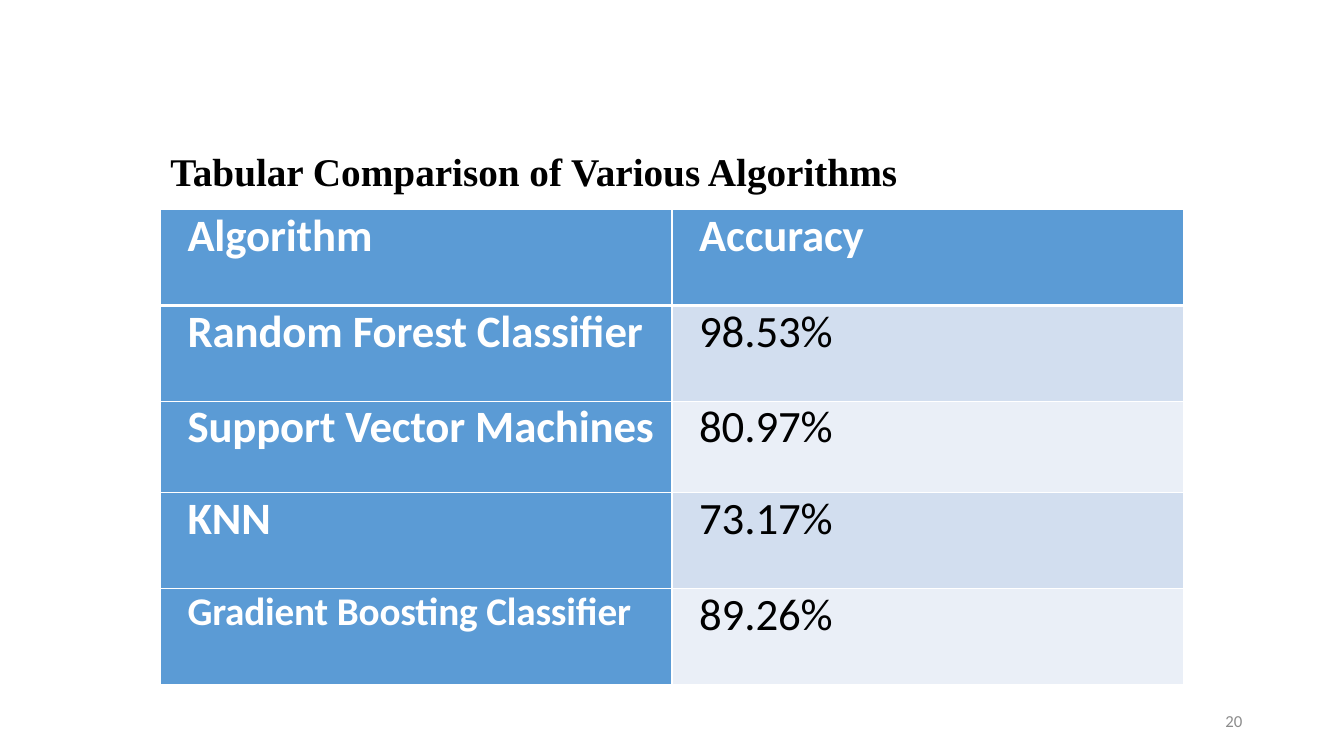
from dataclasses import dataclass

from lxml import etree
from pptx import Presentation, table as tb, util as u
from pptx.dml.color import RGBColor
from pptx.enum import text as tx
from pptx.oxml import ns
from pptx.text import text as body

COLORS = {
    "blue": "5B9BD5",
    "dark_band": "D2DEEF",
    "light_band": "EAEFF7",
    "white": "FFFFFF",
    "black": "000000",
    "gray": "8C8C8C",
}


@dataclass(frozen=True)
class Result:
    algorithm: str
    accuracy: str
    height: float = 0.95
    name_size: int = 32


RESULTS = [
    Result("Algorithm", "Accuracy"),
    Result("Random Forest Classifier", "98.53%"),
    Result("Support Vector Machines", "80.97%", height=0.91),
    Result("KNN", "73.17%"),
    Result("Gradient Boosting Classifier", "89.26%", name_size=28),
]


def write_text(frame: body.TextFrame, text: str, *, size: float, color: str,
               font: str = "Calibri", bold: bool = False,
               align: tx.PP_ALIGN = tx.PP_ALIGN.LEFT,
               anchor: tx.MSO_ANCHOR = tx.MSO_ANCHOR.TOP,
               line_spacing: float = 1.0, space_after: float = 0,
               indent: float = 0, tracking: int = 0) -> None:
    """Write one formatted paragraph; tracking is in hundredths of a point."""
    frame.word_wrap = True
    frame.vertical_anchor = anchor
    para = frame.paragraphs[0]
    para.alignment = align
    para.line_spacing = line_spacing
    para.space_before = u.Pt(0)
    para.space_after = u.Pt(space_after)
    properties = para._p.get_or_add_pPr()
    properties.set("marL", "0")
    properties.set("indent", str(u.Inches(indent)))
    span = para.add_run()
    span.text = text
    span.font.name = font
    span.font.size = u.Pt(size)
    span.font.bold = bold
    span.font.color.rgb = RGBColor.from_string(COLORS[color])
    if tracking:
        span._r.get_or_add_rPr().set("spc", str(tracking))


def set_borders(cell: tb._Cell, widths: dict[str, float]) -> None:
    """Draw white borders; widths maps the sides L, R, T, B to points."""
    properties = cell._tc.get_or_add_tcPr()
    for position, (side, width) in enumerate(widths.items()):
        line = etree.Element(ns.qn(f"a:ln{side}"), w=str(u.Pt(width)))
        fill = etree.SubElement(line, ns.qn("a:solidFill"))
        etree.SubElement(fill, ns.qn("a:srgbClr"), val=COLORS["white"])
        properties.insert(position, line)


def format_cell(cell: tb._Cell, text: str, *, row: int, fill: str,
                size: float, color: str, bold: bool) -> None:
    cell.margin_left = cell.margin_right = u.Inches(0.07)
    cell.margin_top = cell.margin_bottom = 0
    write_text(cell.text_frame, text, size=size, color=color, bold=bold,
               align=tx.PP_ALIGN.JUSTIFY, line_spacing=0.95, space_after=6,
               indent=0.2, tracking=-10)
    cell.fill.solid()
    cell.fill.fore_color.rgb = RGBColor.from_string(COLORS[fill])
    set_borders(cell, {"L": 1, "R": 1, "T": 3 if row == 1 else 1,
                       "B": 3 if row == 0 else 1})


def add_results(page, results: list[Result]) -> None:
    height = sum(result.height for result in results)
    grid = page.shapes.add_table(
        len(results), 2, u.Inches(1.59), u.Inches(2.08),
        u.Inches(10.15), u.Inches(height)).table
    for row, result in enumerate(results):
        grid.rows[row].height = u.Inches(result.height)
        header = row == 0
        band = "dark_band" if row % 2 else "light_band"
        format_cell(grid.cell(row, 0), result.algorithm, row=row, fill="blue",
                    size=result.name_size, color="white", bold=True)
        format_cell(grid.cell(row, 1), result.accuracy, row=row,
                    fill="blue" if header else band, size=32,
                    color="white" if header else "black", bold=header)


def main() -> None:
    deck = Presentation()
    deck.slide_width, deck.slide_height = u.Inches(13.33), u.Inches(7.5)
    page = deck.slides.add_slide(deck.slide_layouts[5])

    title = page.shapes.title
    title.left, title.top = u.Inches(1.59), u.Inches(1.41)
    title.width, title.height = u.Inches(10.15), u.Inches(0.57)
    title.text_frame.auto_size = tx.MSO_AUTO_SIZE.NONE
    write_text(title.text_frame, "Tabular Comparison of Various Algorithms",
               size=28, color="black", font="Times New Roman", bold=True)

    add_results(page, RESULTS)

    number = page.shapes.add_textbox(
        u.Inches(9.42), u.Inches(6.95), u.Inches(3), u.Inches(0.4))
    write_text(number.text_frame, "20", size=12, color="gray",
               align=tx.PP_ALIGN.RIGHT, anchor=tx.MSO_ANCHOR.MIDDLE)

    deck.save("out.pptx")


if __name__ == "__main__":
    main()
